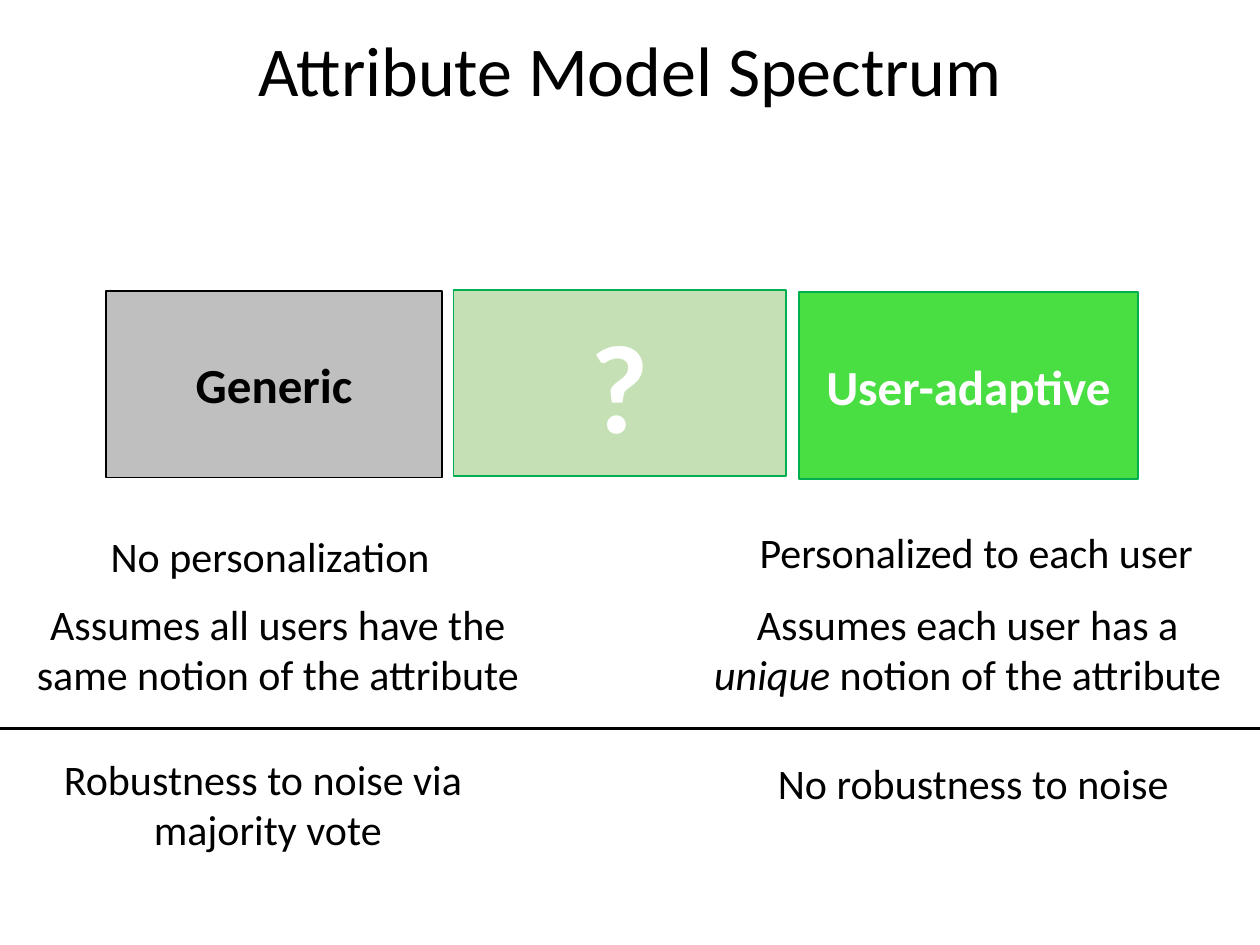
import pptx
import pptx.util
import pptx.dml.color
import pptx.enum.shapes
import pptx.enum.text
import pptx.oxml.ns
import lxml.etree

COLORS = {
    "black": "000000",
    "white": "FFFFFF",
    "gray": "BFBFBF",
    "pale_green": "C5E0B4",
    "bright_green": "49DE42",
    "border_green": "00B050",
}
COLUMNS, ROWS = 100, 75
ALIGN = pptx.enum.text.PP_ALIGN
ANCHOR = pptx.enum.text.MSO_ANCHOR


def color(name):
    return pptx.dml.color.RGBColor.from_string(COLORS[name])


class SpectrumSlide:
    font = "Calibri"

    def __init__(self, deck):
        self.page = deck.slides.add_slide(deck.slide_layouts[5])
        self.cell_width = deck.slide_width / COLUMNS
        self.cell_height = deck.slide_height / ROWS

    def area(self, column, row, width, height):
        return (
            round(column * self.cell_width),
            round(row * self.cell_height),
            round(width * self.cell_width),
            round(height * self.cell_height),
        )

    def add_lines(self, frame, lines, size, ink="black", bold=False, align=ALIGN.CENTER):
        for index, line in enumerate(lines):
            para = frame.paragraphs[0] if index == 0 else frame.add_paragraph()
            para.alignment = align
            for text, italic in line:
                span = para.add_run()
                span.text = text
                span.font.name = self.font
                span.font.size = pptx.util.Pt(size)
                span.font.bold = bold
                span.font.italic = italic
                span.font.color.rgb = color(ink)

    def title(self, text, area):
        box = self.page.shapes.title
        box.left, box.top, box.width, box.height = self.area(*area)
        frame = box.text_frame
        frame.vertical_anchor = ANCHOR.MIDDLE
        self.add_lines(frame, [[(text, False)]], 40)
        frame.paragraphs[0].line_spacing = 0.9

    def model(self, text, area, fill, border, ink, size):
        box = self.page.shapes.add_shape(
            pptx.enum.shapes.MSO_SHAPE.RECTANGLE, *self.area(*area)
        )
        box.shadow.inherit = False
        box.fill.solid()
        box.fill.fore_color.rgb = color(fill)
        box.line.color.rgb = color(border)
        box.line.width = pptx.util.Pt(1)
        box.text_frame.vertical_anchor = ANCHOR.MIDDLE
        self.add_lines(box.text_frame, [[(text, False)]], size, ink, bold=True)

    def note(self, lines, area, align=ALIGN.CENTER):
        box = self.page.shapes.add_textbox(*self.area(*area))
        frame = box.text_frame
        frame.word_wrap = False
        frame.auto_size = pptx.enum.text.MSO_AUTO_SIZE.SHAPE_TO_FIT_TEXT
        self.add_lines(frame, lines, 24, align=align)

    def divider(self, row):
        left, top, width, height = self.area(0, row, COLUMNS, 0)
        line = self.page.shapes.add_connector(
            pptx.enum.shapes.MSO_CONNECTOR.STRAIGHT, left, top, left + width, top + height
        )
        line.line.color.rgb = color("black")
        line.line.width = pptx.util.Pt(2)
        properties = line._element.spPr
        lxml.etree.SubElement(properties, pptx.oxml.ns.qn("a:effectLst"))


def main():
    deck = pptx.Presentation()
    deck.slide_width = pptx.util.Inches(10)
    deck.slide_height = pptx.util.Inches(7.5)
    slide = SpectrumSlide(deck)

    slide.title("Attribute Model Spectrum", (0, 2.3, COLUMNS, 7.2))

    models = [
        ("Generic", (8.4, 23.1, 26.7, 14.8), "gray", "black", "black", 28),
        ("?", (36, 23, 26.4, 14.8), "pale_green", "border_green", "white", 72),
        ("User-adaptive", (63.4, 23.2, 26.9, 14.8),
         "bright_green", "border_green", "white", 28),
    ]
    for model in models:
        slide.model(*model)

    slide.note([[("No personalization", False)]], (7.8, 41.6, 27.6, 5), ALIGN.LEFT)
    slide.note([[("Personalized to each user", False)]],
               (59.3, 41.3, 36.8, 5), ALIGN.LEFT)
    slide.note([[("Robustness to noise via ", False)], [("majority vote", False)]],
               (3.9, 59.3, 34.7, 9.1))
    slide.note([[("No robustness to noise", False)]], (60.6, 59.6, 33.3, 5))
    slide.note([[("Assumes all users have the", False)],
                [("same notion of the attribute", False)]], (1.7, 47, 40.7, 9.1))
    slide.note([[("Assumes each user has a", False)],
                [("unique", True), (" notion of the attribute", False)]],
               (55.4, 47, 42.8, 9.1))
    slide.divider(57.8)

    deck.save("out.pptx")


if __name__ == "__main__":
    main()
